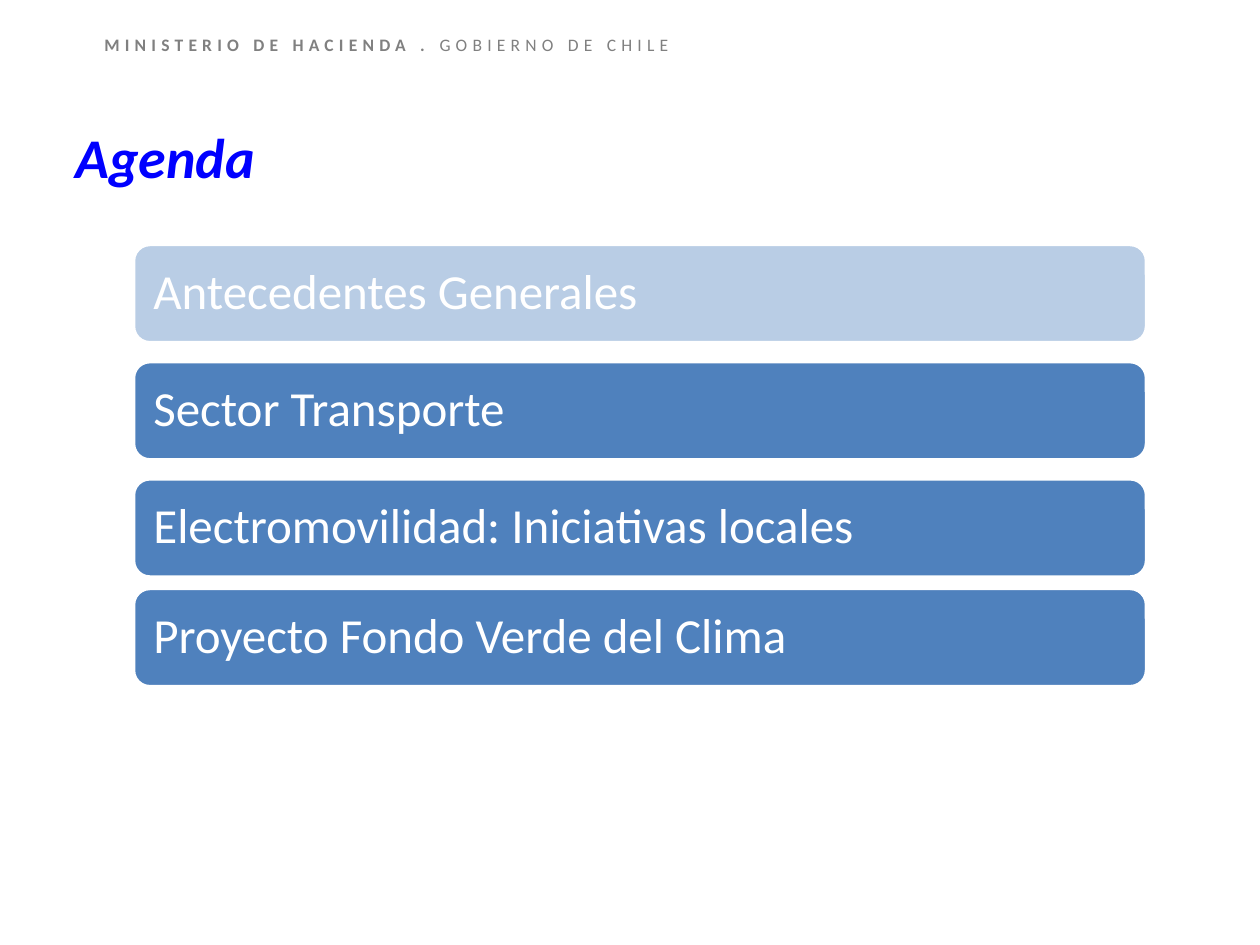
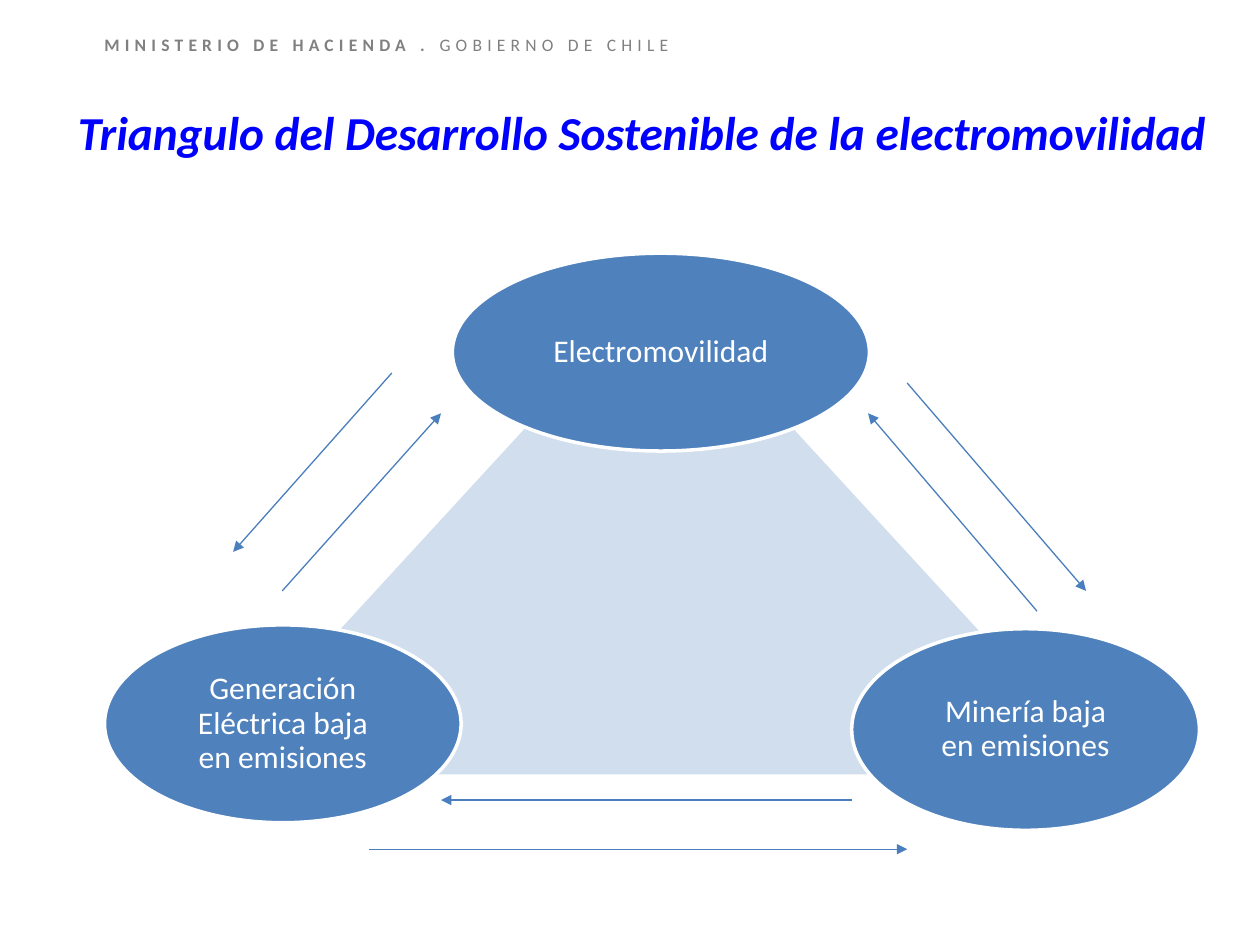
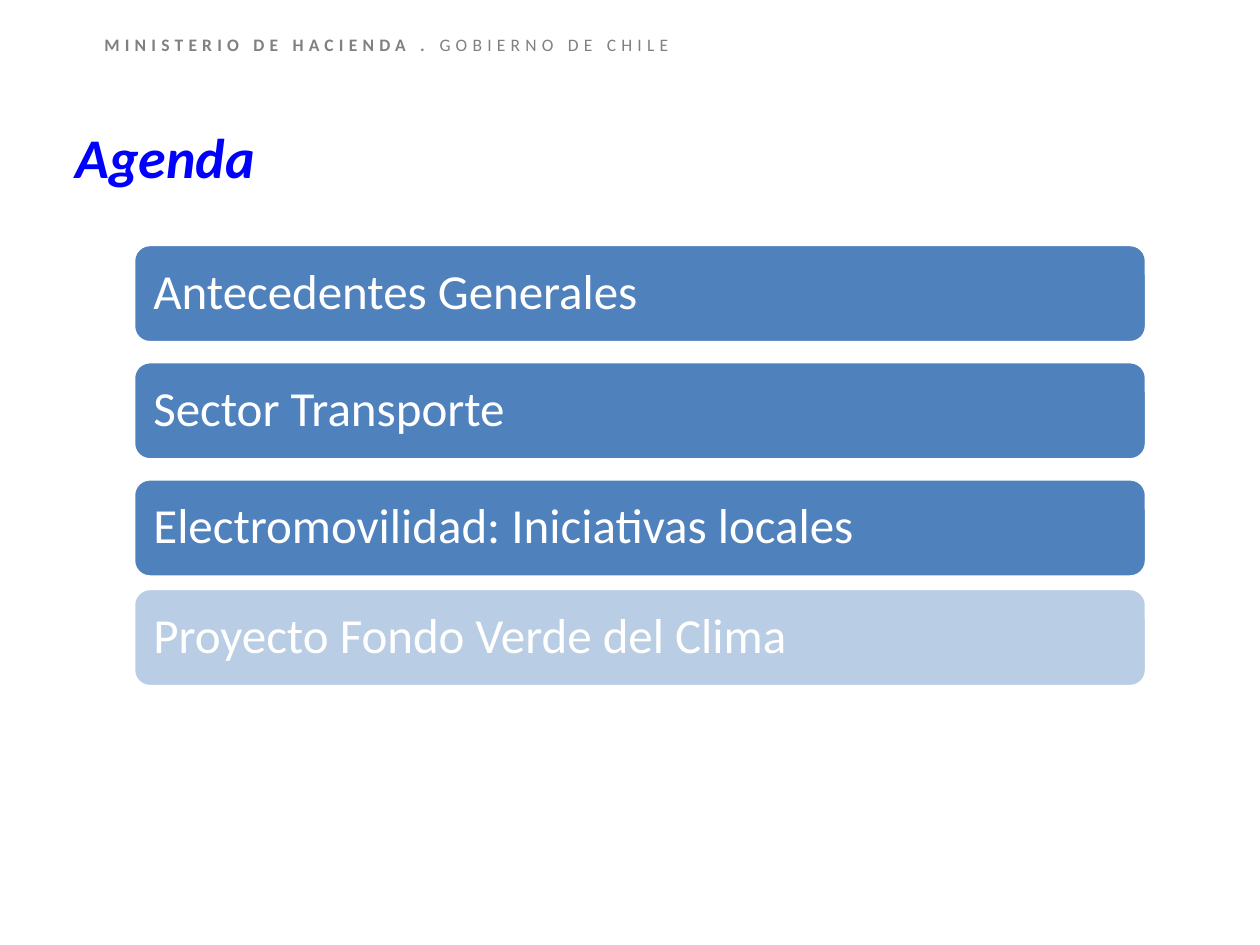
from dataclasses import dataclass

from lxml import etree
from pptx import Presentation
from pptx.dml.color import RGBColor
from pptx.enum.shapes import MSO_CONNECTOR, MSO_SHAPE
from pptx.enum.text import MSO_ANCHOR, PP_ALIGN
from pptx.oxml.ns import qn
from pptx.util import Inches, Pt

ROUNDED = MSO_SHAPE.ROUNDED_RECTANGLE
ELLIPSE = MSO_SHAPE.OVAL
TRIANGLE = MSO_SHAPE.ISOSCELES_TRIANGLE
STRAIGHT = MSO_CONNECTOR.STRAIGHT
TOP = MSO_ANCHOR.TOP
MIDDLE = MSO_ANCHOR.MIDDLE
LEFT = PP_ALIGN.LEFT
CENTER = PP_ALIGN.CENTER


@dataclass(frozen=True)
class Theme:
    """Hold the colours, font and type sizes of the deck."""
    font: str = "Calibri"
    blue: str = "4F81BD"
    pale: str = "B9CDE5"
    arrow: str = "4B7EBC"
    title: str = "0000FF"
    grey: str = "808080"
    white: str = "FFFFFF"
    header_size: int = 10
    agenda_title_size: int = 32
    triangle_title_size: int = 27
    topic_size: int = 28
    pillar_size: int = 18
    outline: float = 2
    arrow_width: float = 0.75


THEME = Theme()
AGENDA = [
    ("Antecedentes Generales", 1.94),
    ("Sector Transporte", 2.87),
    ("Electromovilidad: Iniciativas locales", 3.8),
    ("Proyecto Fondo Verde del Clima", 4.67),
]
PILLARS = [
    ("Electromovilidad", (3.59, 2.01, 3.31, 1.57)),
    ("Generación Eléctrica baja en emisiones", (0.83, 4.96, 2.83, 1.57)),
    ("Minería baja en emisiones", (6.76, 4.99, 2.76, 1.6)),
]
ARROWS = [
    ((2.24, 4.69), (3.5, 3.28)),
    ((8.23, 4.85), (6.89, 3.28)),
    ((2.93, 6.74), (7.2, 6.74)),
    ((3.11, 2.96), (1.85, 4.38)),
    ((7.2, 3.04), (8.62, 4.69)),
    ((6.76, 6.35), (3.5, 6.35)),
]


def inches(values):
    """Turn plain numbers into lengths."""
    return [Inches(value) for value in values]


def write(para, text, *, size, color, bold=False, italic=False, spacing=None):
    """Add one formatted span of text to a paragraph."""
    span = para.add_run()
    span.text = text
    font = span.font
    font.name, font.size = THEME.font, Pt(size)
    font.bold, font.italic = bold, italic
    font.color.rgb = RGBColor.from_string(color)
    if spacing:
        font._element.set("spc", str(spacing * 100))


def prepare_frame(box, anchor=TOP, margins=(0.1, 0.05), align=LEFT):
    """Set up the text frame of a box and return its paragraph."""
    frame = box.text_frame
    frame.word_wrap = True
    frame.vertical_anchor = anchor
    frame.margin_left = frame.margin_right = Inches(margins[0])
    frame.margin_top = frame.margin_bottom = Inches(margins[1])
    para = frame.paragraphs[0]
    para.alignment = align
    return para


def add_figure(page, kind, area, fill, opacity=None):
    """Add a filled shape with a white outline."""
    shape = page.shapes.add_shape(kind, *inches(area))
    shape.shadow.inherit = False
    shape.fill.solid()
    shape.fill.fore_color.rgb = RGBColor.from_string(fill)
    shape.line.color.rgb = RGBColor.from_string(THEME.white)
    shape.line.width = Pt(THEME.outline)
    if opacity:
        color = shape.fill._xPr.find(qn("a:solidFill"))[0]
        etree.SubElement(color, qn("a:alpha"), val=str(opacity * 1000))
    return shape


def add_label(shape, text, size, margins, align):
    """Write white text in the middle of a shape."""
    para = prepare_frame(shape, MIDDLE, margins, align)
    para.line_spacing = 0.9
    write(para, text, size=size, color=THEME.white)


def add_arrow(page, start, end):
    """Add a thin line with an arrowhead at its end."""
    arrow = page.shapes.add_connector(STRAIGHT, *inches(start + end))
    arrow.line.color.rgb = RGBColor.from_string(THEME.arrow)
    arrow.line.width = Pt(THEME.arrow_width)
    etree.SubElement(arrow.line._get_or_add_ln(), qn("a:tailEnd"), type="triangle")
    etree.SubElement(arrow._element.spPr, qn("a:effectLst"))


def add_page(deck, title, area, size):
    """Add a blank page with the ministry header and a title."""
    page = deck.slides.add_slide(deck.slide_layouts[6])
    header = prepare_frame(page.shapes.add_textbox(*inches((0.73, 0.22, 7, 0.27))))
    style = dict(size=THEME.header_size, color=THEME.grey, spacing=3)
    write(header, "MINISTERIO DE HACIENDA . ", bold=True, **style)
    write(header, "GOBIERNO DE CHILE", **style)
    heading = prepare_frame(page.shapes.add_textbox(*inches(area)))
    write(heading, title, size=size, color=THEME.title, bold=True, italic=True)
    return page


def add_agenda(deck, faded):
    """Add an agenda page with one topic faded."""
    page = add_page(deck, "Agenda", (0.5, 0.92, 9, 0.79), THEME.agenda_title_size)
    for index, (topic, top) in enumerate(AGENDA):
        fill = THEME.pale if index == faded else THEME.blue
        bar = add_figure(page, ROUNDED, (1.06, top, 8.04, 0.78), fill)
        add_label(bar, topic, THEME.topic_size, (0.12, 0.12), LEFT)


def add_triangle(deck):
    """Add the page with the triangle of sustainable development."""
    page = add_page(deck, "Triangulo del Desarrollo Sostenible de la electromovilidad",
                    (0.52, 0.77, 9.22, 0.79), THEME.triangle_title_size)
    add_figure(page, TRIANGLE, (1.61, 2.22, 7.24, 3.94), THEME.blue, opacity=26)
    for name, area in PILLARS:
        pillar = add_figure(page, ELLIPSE, area, THEME.blue)
        add_label(pillar, name, THEME.pillar_size, (0.28, 0.17), CENTER)
    for start, end in ARROWS:
        add_arrow(page, start, end)


def main():
    """Build the deck and save it."""
    deck = Presentation()
    deck.slide_width, deck.slide_height = Inches(10), Inches(7.5)
    add_agenda(deck, faded=0)
    add_triangle(deck)
    add_agenda(deck, faded=3)
    deck.save("out.pptx")


if __name__ == "__main__":
    main()
